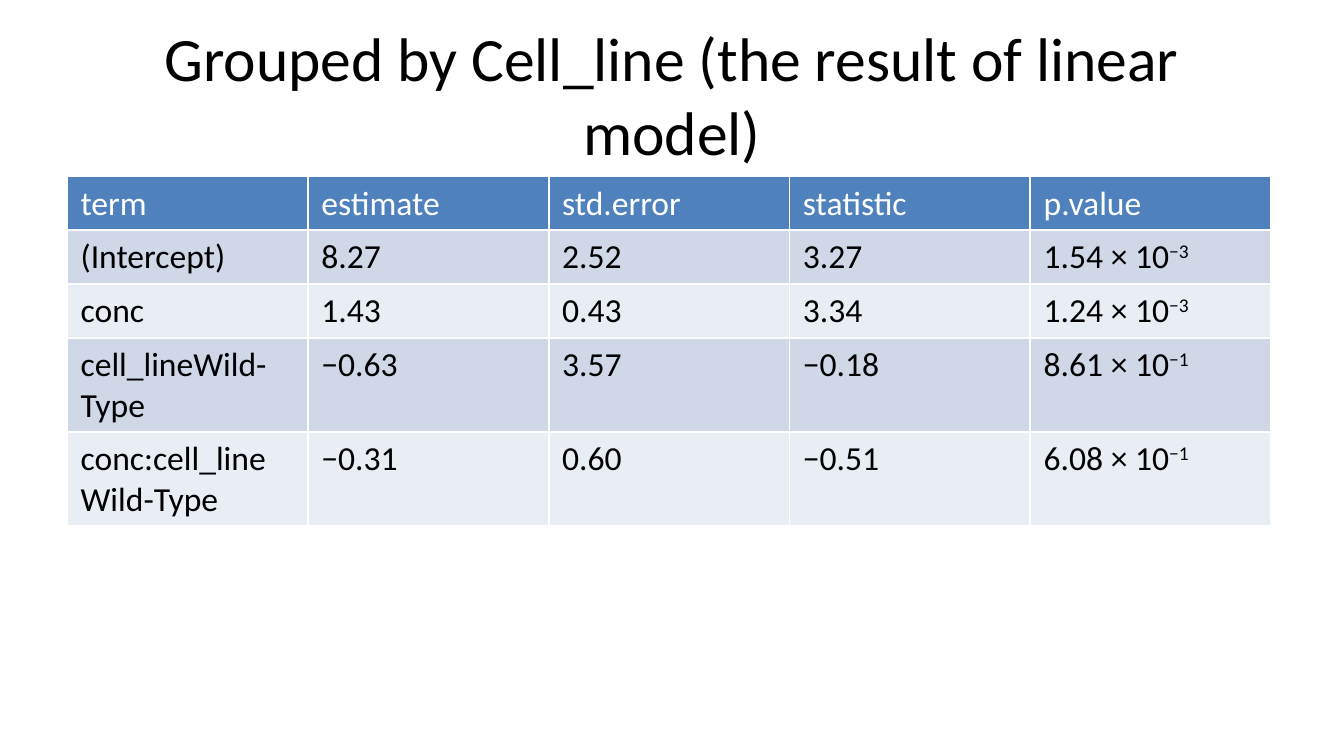
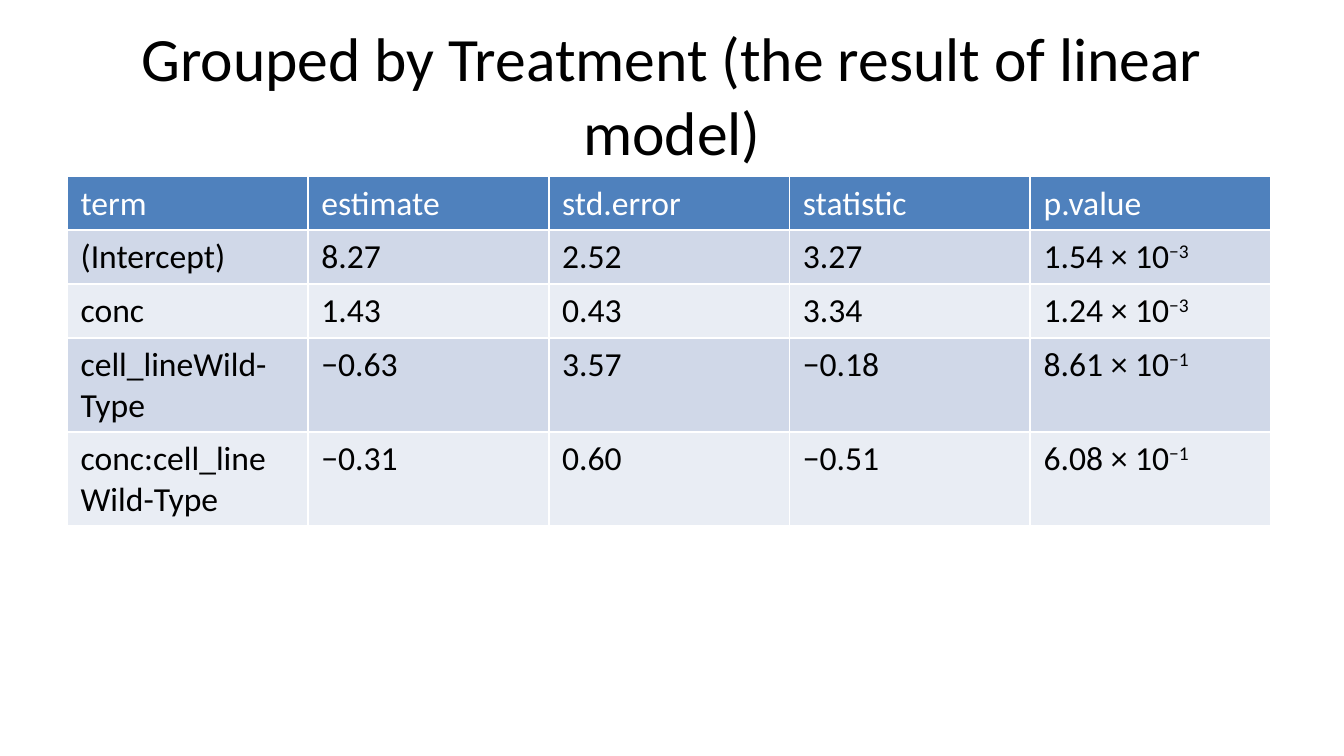
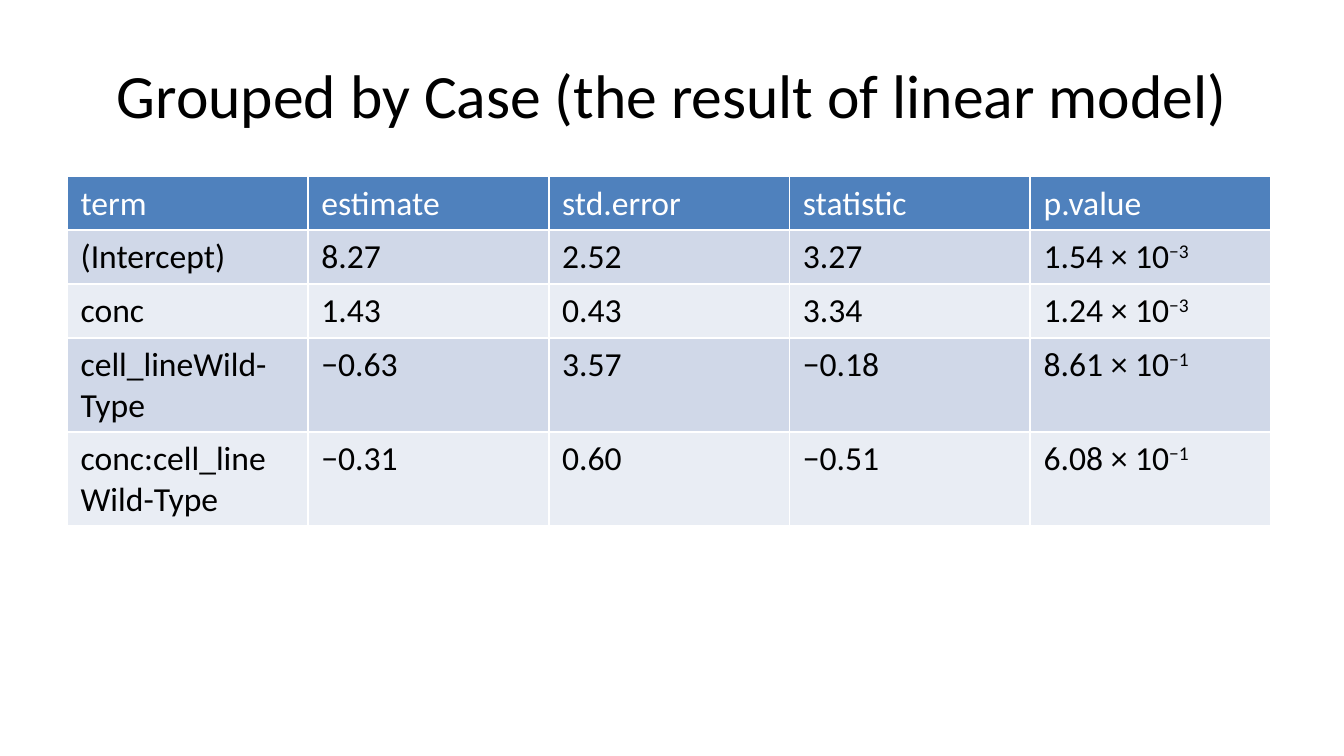
"""Build three slides that each show a linear model summary table."""
from dataclasses import dataclass

from pptx import Presentation
from pptx import util as u
from pptx.dml.color import RGBColor
from pptx.enum import text

EMU_PER_PX = 9525
FONT = "Calibri"
BLACK, WHITE = "000000", "FFFFFF"
HEADER_FILL = "4F81BD"
BAND_FILLS = ("D0D8E8", "E9EDF4")
TITLE_SIZE, TABLE_SIZE = 33, 18
SLIDE_WIDTH, SLIDE_HEIGHT = 960, 540
MARGIN, CONTENT_WIDTH = 48, 864
TITLE_TOP, TITLE_HEIGHT = 22, 90
TABLE_TOP, TABLE_HEIGHT, COLUMN_WIDTH = 126, 356, 172
HEADINGS = ("term", "estimate", "std.error", "statistic", "p.value")
GROUPINGS = ("Cell_line", "Treatment", "Case")


@dataclass(frozen=True)
class TextRun:
    """A piece of text, raised when it is an exponent."""
    content: str
    raised: bool = False


@dataclass(frozen=True)
class ModelTerm:
    """One row of the model summary, with its p value in powers of ten."""
    term: str
    estimate: str
    std_error: str
    statistic: str
    mantissa: str
    exponent: str

    def cells(self) -> list[list[TextRun]]:
        """Return the runs of each cell in the row."""
        plain = (self.term, self.estimate, self.std_error, self.statistic)
        p_value = [TextRun(f"{self.mantissa} × 10"), TextRun(self.exponent, True)]
        return [[TextRun(value)] for value in plain] + [p_value]


MODEL_TERMS = (
    ModelTerm("(Intercept)", "8.27", "2.52", "3.27", "1.54", "−3"),
    ModelTerm("conc", "1.43", "0.43", "3.34", "1.24", "−3"),
    ModelTerm("cell_lineWild-Type", "−0.63", "3.57", "−0.18", "8.61", "−1"),
    ModelTerm("conc:cell_lineWild-Type", "−0.31", "0.60", "−0.51", "6.08", "−1"),
)


def px(length: int) -> u.Emu:
    """Turn pixels into EMU."""
    return u.Emu(length * EMU_PER_PX)


def color(hex_code: str) -> RGBColor:
    """Turn a hex string into a colour."""
    return RGBColor.from_string(hex_code)


def add_run(paragraph, piece: TextRun, size: int, ink: str) -> None:
    """Append one styled run to a paragraph."""
    run = paragraph.add_run()
    run.text = piece.content
    run.font.name = FONT
    run.font.size = u.Pt(size)
    run.font.bold = False
    run.font.color.rgb = color(ink)
    if piece.raised:
        run.font._element.set("baseline", "30000")


def add_title(slide, title: str) -> None:
    """Add the centred slide title."""
    shape = slide.shapes.add_textbox(
        px(MARGIN), px(TITLE_TOP), px(CONTENT_WIDTH), px(TITLE_HEIGHT))
    frame = shape.text_frame
    frame.word_wrap = True
    frame.vertical_anchor = text.MSO_ANCHOR.MIDDLE
    paragraph = frame.paragraphs[0]
    paragraph.alignment = text.PP_ALIGN.CENTER
    add_run(paragraph, TextRun(title), TITLE_SIZE, BLACK)


def fill_row(row, contents: list[list[TextRun]], fill: str, ink: str) -> None:
    """Write and style the cells of one table row."""
    row.height = px(0)
    for cell, pieces in zip(row.cells, contents):
        cell.fill.solid()
        cell.fill.fore_color.rgb = color(fill)
        for piece in pieces:
            add_run(cell.text_frame.paragraphs[0], piece, TABLE_SIZE, ink)


def add_model_table(slide) -> None:
    """Add the model summary, with rows that grow to fit their text."""
    shape = slide.shapes.add_table(
        len(MODEL_TERMS) + 1, len(HEADINGS),
        px(MARGIN), px(TABLE_TOP), px(CONTENT_WIDTH), px(TABLE_HEIGHT))
    table = shape.table
    for column in table.columns:
        column.width = px(COLUMN_WIDTH)
    header, *body = table.rows
    fill_row(header, [[TextRun(heading)] for heading in HEADINGS], HEADER_FILL, WHITE)
    for index, (row, term) in enumerate(zip(body, MODEL_TERMS)):
        fill_row(row, term.cells(), BAND_FILLS[index % len(BAND_FILLS)], BLACK)
    shape.width, shape.height = px(CONTENT_WIDTH), px(TABLE_HEIGHT)


def main() -> None:
    """Build and save the presentation."""
    presentation = Presentation()
    presentation.slide_width = px(SLIDE_WIDTH)
    presentation.slide_height = px(SLIDE_HEIGHT)
    for grouping in GROUPINGS:
        slide = presentation.slides.add_slide(presentation.slide_layouts[6])
        slide.background.fill.solid()
        slide.background.fill.fore_color.rgb = color(WHITE)
        add_title(slide, f"Grouped by {grouping} (the result of linear model)")
        add_model_table(slide)
    presentation.save("out.pptx")


if __name__ == "__main__":
    main()
